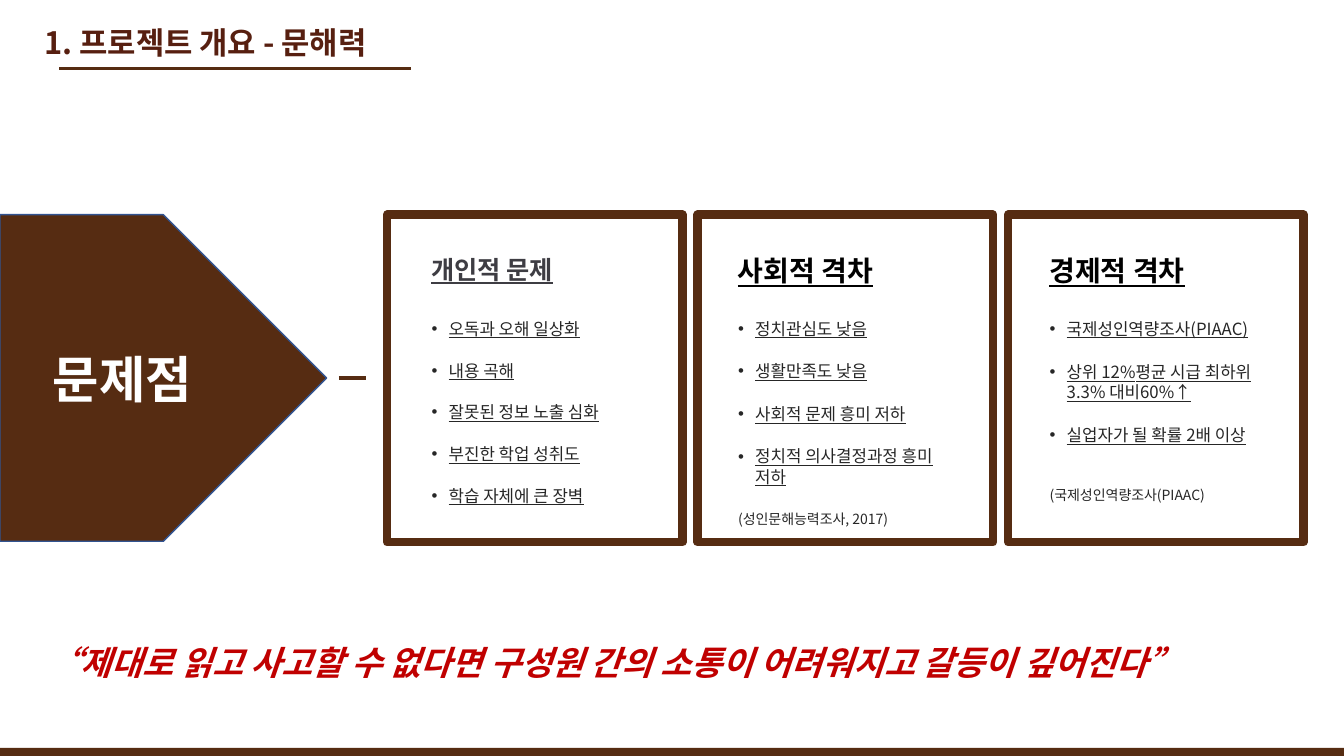
from pptx import Presentation
from pptx.dml.color import RGBColor
from pptx.enum.shapes import MSO_CONNECTOR, MSO_SHAPE
from pptx.enum.text import MSO_ANCHOR, MSO_AUTO_SIZE, PP_ALIGN
from pptx.oxml.ns import qn
from pptx.util import Inches, Pt
from lxml.etree import SubElement

FONT = "Noto Sans CJK KR"
BROWN = RGBColor(0x56, 0x2C, 0x12)
TITLE_BROWN = RGBColor(0x57, 0x1F, 0x10)
OUTLINE_BLUE = RGBColor(0x32, 0x54, 0x91)
BLACK = RGBColor(0, 0, 0)
SLATE = RGBColor(0x3E, 0x3D, 0x43)
CHARCOAL = RGBColor(0x26, 0x26, 0x26)
RED = RGBColor(0xC0, 0, 0)
WHITE = RGBColor(0xFF, 0xFF, 0xFF)

SLIDE_W, SLIDE_H = 13.33, 7.5
CARD_LEFT, CARD_TOP, CARD_W, CARD_H = 3.84, 2.13, 2.93, 3.25
CARD_STEP = 3.08
HEADING_TOP, LIST_TOP = CARD_TOP + 0.34, CARD_TOP + 0.98
LINE_HEIGHT = 1.2
BULLET_INDENT = 0.17

# inset, text width, heading, heading size and colour, gap, items, source, gap above source
CARDS = [
    (0.34, 2.41, "개인적 문제", 18, SLATE, 15.4,
     ["오독과 오해 일상화", "내용 곡해", "잘못된 정보 노출 심화",
      "부진한 학업 성취도", "학습 자체에 큰 장벽"], None, 0),
    (0.3, 2.18, "사회적 격차", 20, BLACK, 16,
     ["정치관심도 낮음", "생활만족도 낮음", "사회적 문제 흥미 저하",
      "정치적 의사결정과정 흥미 저하"], "(성인문해능력조사, 2017)", 17.5),
    (0.31, 2.24, "경제적 격차", 20, BLACK, 16.4,
     ["국제성인역량조사(PIAAC)", "상위 12%평균 시급 최하위 3.3% 대비60%↑",
      "실업자가 될 확률 2배 이상"], "(국제성인역량조사(PIAAC)", 30),
]


def place(shape, left, top, width, height):
    shape.left, shape.top = Inches(left), Inches(top)
    shape.width, shape.height = Inches(width), Inches(height)


def prepare_frame(shape, anchor=MSO_ANCHOR.TOP, margin=None):
    frame = shape.text_frame
    frame.word_wrap = True
    frame.auto_size = MSO_AUTO_SIZE.NONE
    frame.vertical_anchor = anchor
    if margin is not None:
        frame.margin_left = frame.margin_right = margin
        frame.margin_top = frame.margin_bottom = margin
    return frame


def write(paragraph, text, size, colour, bold=False, italic=False,
          underline=False, align=PP_ALIGN.LEFT, before=0, bullet=False):
    """Fill and format one paragraph, for Latin and Korean letters alike."""
    paragraph.text = text
    paragraph.alignment = align
    paragraph.line_spacing = Pt(size * LINE_HEIGHT)
    paragraph.space_before = Pt(before)
    properties = paragraph._p.get_or_add_pPr()
    indent = Inches(BULLET_INDENT) if bullet else 0
    properties.set("marL", str(indent))
    properties.set("indent", str(-indent))
    if bullet:
        SubElement(properties, qn("a:buFont")).set("typeface", "Arial")
        SubElement(properties, qn("a:buChar")).set("char", "•")
    else:
        SubElement(properties, qn("a:buNone"))
    font = paragraph.font
    font.name, font.size = FONT, Pt(size)
    font.bold, font.italic, font.underline = bold, italic, underline
    font.color.rgb = colour
    SubElement(properties.find(qn("a:defRPr")), qn("a:ea")).set("typeface", FONT)


def add_block(slide, kind, bounds, fill=None, line=None, line_width=1):
    block = slide.shapes.add_shape(kind, *map(Inches, bounds))
    block.shadow.inherit = False
    if fill is None:
        block.fill.background()
    else:
        block.fill.solid()
        block.fill.fore_color.rgb = fill
    if line is None:
        block.line.fill.background()
    else:
        block.line.color.rgb = line
        block.line.width = Pt(line_width)
    return block


def add_rule(slide, left, right, y, width):
    rule = slide.shapes.add_connector(
        MSO_CONNECTOR.STRAIGHT, *map(Inches, (left, y, right, y)))
    rule.line.color.rgb = BROWN
    rule.line.width = Pt(width)
    SubElement(rule._element.spPr, qn("a:effectLst"))


def add_card(slide, column, body, card):
    (inset, width, heading, heading_size, heading_colour,
     gap, items, source, source_gap) = card
    left = CARD_LEFT + column * CARD_STEP
    add_block(slide, MSO_SHAPE.RECTANGLE, (left, CARD_TOP, CARD_W, CARD_H),
              line=BROWN, line_width=6)

    heading_box = slide.shapes.add_textbox(
        *map(Inches, (left + inset, HEADING_TOP, width, 0.43)))
    write(prepare_frame(heading_box).paragraphs[0], heading, heading_size,
          heading_colour, bold=True, underline=True)

    place(body, left + inset, LIST_TOP, width, 2.2)
    frame = prepare_frame(body)
    for row, item in enumerate(items):
        paragraph = frame.add_paragraph() if row else frame.paragraphs[0]
        write(paragraph, item, 12, CHARCOAL, underline=True,
              before=gap if row else 0, bullet=True)
    if source:
        write(frame.add_paragraph(), source, 10, CHARCOAL, before=source_gap)


def main():
    deck = Presentation()
    deck.slide_width, deck.slide_height = Inches(SLIDE_W), Inches(SLIDE_H)
    slide = deck.slides.add_slide(deck.slide_layouts.get_by_name("Comparison"))
    title, quote, *bodies = list(slide.placeholders)[:5]

    add_block(slide, MSO_SHAPE.RECTANGLE, (0, 7.42, SLIDE_W, 0.14), fill=BROWN)

    place(title, 0.34, 0.03, 4.33, 0.78)
    write(prepare_frame(title, MSO_ANCHOR.MIDDLE).paragraphs[0],
          "1. 프로젝트 개요 - 문해력", 22, TITLE_BROWN, bold=True)
    add_rule(slide, 0.59, 4.08, 0.68, 1.5)

    problem = add_block(slide, MSO_SHAPE.PENTAGON, (0, CARD_TOP, 3.24, 3.24),
                        fill=BROWN, line=OUTLINE_BLUE)
    write(prepare_frame(problem, MSO_ANCHOR.MIDDLE).paragraphs[0],
          "문제점", 36, WHITE, bold=True, align=PP_ALIGN.CENTER)
    add_rule(slide, 3.36, 3.63, SLIDE_H / 2, 3)

    for column, (body, card) in enumerate(zip(bodies, CARDS)):
        add_card(slide, column, body, card)

    place(quote, 0.47, 6.37, 12.58, 0.71)
    write(prepare_frame(quote, margin=0).paragraphs[0],
          "“제대로 읽고 사고할 수 없다면 구성원 간의 소통이 어려워지고 갈등이 깊어진다”",
          24, RED, bold=True, italic=True)

    deck.save("out.pptx")


if __name__ == "__main__":
    main()
